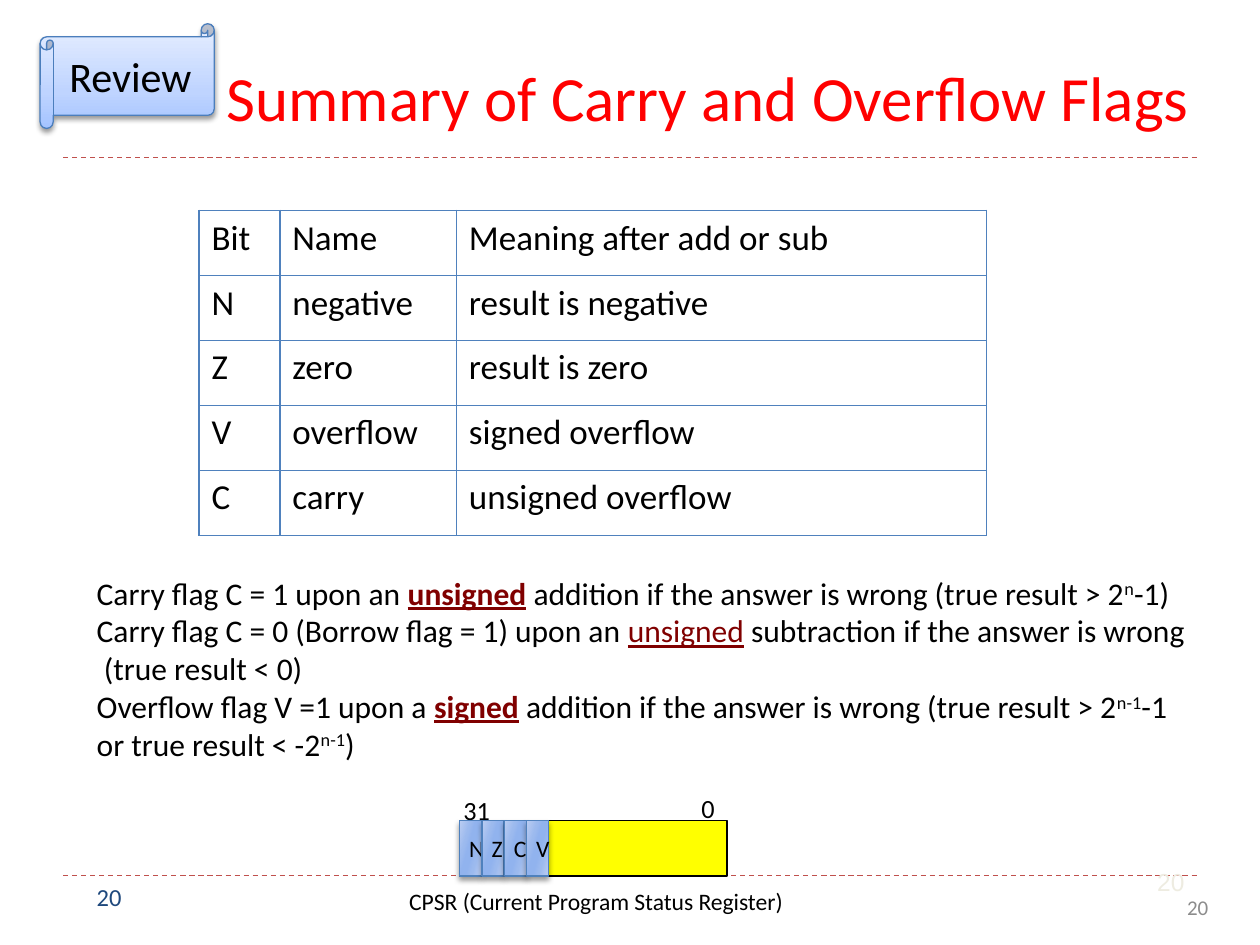
from lxml.etree import SubElement
from pptx import Presentation
from pptx.dml.color import RGBColor
from pptx.enum.dml import MSO_LINE
from pptx.enum.shapes import MSO_CONNECTOR, MSO_SHAPE
from pptx.enum.text import MSO_ANCHOR, MSO_AUTO_SIZE, PP_ALIGN
from pptx.oxml.ns import qn
from pptx.util import Cm, Pt

BLACK = RGBColor(0x00, 0x00, 0x00)
RED = RGBColor(0xFF, 0x00, 0x00)
MAROON = RGBColor(0x80, 0x00, 0x00)
YELLOW = RGBColor(0xFF, 0xFF, 0x00)
GRAY = RGBColor(0x8C, 0x8C, 0x8C)
NAVY = RGBColor(0x1F, 0x49, 0x7D)
CREAM = RGBColor(0xEE, 0xEC, 0xE1)
RULE_RED = RGBColor(0xC0, 0x50, 0x4D)
GRID_BLUE = RGBColor(0x4F, 0x81, 0xBD)
SCROLL_BLUE = RGBColor(0x4B, 0x7E, 0xBC)
ICE = RGBColor(0xBC, 0xCE, 0xF2)
SKY = RGBColor(0x9C, 0xBA, 0xEE)
AZURE = RGBColor(0x91, 0xB3, 0xEE)

FLAG_STOPS = [(0, ICE), (30, SKY), (45, AZURE), (55, AZURE), (73, SKY), (100, ICE)]
SCROLL_STOPS = [(0, RGBColor(0xA4, 0xC4, 0xFF)), (35, RGBColor(0xBF, 0xD4, 0xFF)),
                (100, RGBColor(0xE6, 0xEE, 0xFF))]


class SlideBuilder:
    def __init__(self, slide, font="Calibri"):
        self.slide = slide
        self.font = font

    def run(self, paragraph, wording, size, color=BLACK, font=None,
            bold=False, underline=False, raised=False):
        run = paragraph.add_run()
        run.text = wording
        run.font.name = font or self.font
        run.font.size = Pt(size)
        run.font.color.rgb = color
        if bold:
            run.font.bold = True
        if underline:
            run.font.underline = True
        if raised:
            run.font._element.set("baseline", "30000")

    def title(self, box, wording, size, color):
        title = self.slide.shapes.title
        title.left, title.top, title.width, title.height = map(Cm, box)
        title.text_frame.vertical_anchor = MSO_ANCHOR.BOTTOM
        heading = title.text_frame.paragraphs[0]
        heading.alignment = PP_ALIGN.CENTER
        self.run(heading, wording, size, color)

    def text(self, box, wording, size, color=BLACK, font=None,
             align=PP_ALIGN.LEFT, anchor=MSO_ANCHOR.TOP, wrap=True):
        frame = self.slide.shapes.add_textbox(*map(Cm, box)).text_frame
        frame.word_wrap = wrap
        frame.auto_size = MSO_AUTO_SIZE.NONE if wrap else MSO_AUTO_SIZE.SHAPE_TO_FIT_TEXT
        frame.vertical_anchor = anchor
        frame.paragraphs[0].alignment = align
        self.run(frame.paragraphs[0], wording, size, color, font)

    def statements(self, box, statements, size):
        frame = self.slide.shapes.add_textbox(*map(Cm, box)).text_frame
        frame.word_wrap = True
        for index, parts in enumerate(statements):
            paragraph = frame.add_paragraph() if index else frame.paragraphs[0]
            for wording, style in parts:
                if style is BREAK:
                    paragraph.add_line_break()
                self.run(paragraph, wording, size, **style)

    def rule(self, left, right, y):
        rule = self.slide.shapes.add_connector(
            MSO_CONNECTOR.STRAIGHT, Cm(left), Cm(y), Cm(right), Cm(y))
        rule.line.color.rgb = RULE_RED
        rule.line.width = Pt(0.75)
        rule.line.dash_style = MSO_LINE.DASH
        SubElement(rule._element.spPr, qn("a:effectLst"))

    def shape(self, kind, box, line_color, line_width, fill=None):
        shape = self.slide.shapes.add_shape(kind, *map(Cm, box))
        shape.shadow.inherit = False
        if fill is not None:
            shape.fill.solid()
            shape.fill.fore_color.rgb = fill
        shape.line.color.rgb = line_color
        shape.line.width = Pt(line_width)
        return shape

    def glossy(self, kind, box, wording, size, stops, angle, line_color):
        shape = self.shape(kind, box, line_color, 0.75)
        # Gradient with any number of stops
        shape.fill.gradient()
        shape.fill.gradient_angle = angle
        properties = shape._element.spPr
        stop_list = properties.find(qn("a:gradFill")).find(qn("a:gsLst"))
        stop_list.clear()
        for position, color in stops:
            stop = SubElement(stop_list, qn("a:gs"), pos=str(position * 1000))
            SubElement(stop, qn("a:srgbClr"), val=str(color))
        # Soft shadow straight down
        shadow = SubElement(properties.find(qn("a:effectLst")), qn("a:outerShdw"),
                            blurRad=str(Pt(3)), dist=str(Pt(2)), dir="5400000",
                            rotWithShape="0")
        shade = SubElement(shadow, qn("a:srgbClr"), val=str(BLACK))
        SubElement(shade, qn("a:alpha"), val="40000")
        # Label
        shape.text_frame.vertical_anchor = MSO_ANCHOR.MIDDLE
        label = shape.text_frame.paragraphs[0]
        label.alignment = PP_ALIGN.CENTER
        self.run(label, wording, size)

    def table(self, left, top, widths, row_height, rows, size):
        table = self.slide.shapes.add_table(
            len(rows), len(widths), Cm(left), Cm(top),
            Cm(sum(widths)), Cm(row_height * len(rows))).table
        table.first_row = table.horz_banding = False
        for column, width in zip(table.columns, widths):
            column.width = Cm(width)
        for row, wordings in zip(table.rows, rows):
            row.height = Cm(row_height)
            for cell, wording in zip(row.cells, wordings):
                self.borders(cell)
                cell.fill.background()
                paragraph = cell.text_frame.paragraphs[0]
                paragraph.alignment = PP_ALIGN.JUSTIFY
                self.run(paragraph, wording, size)

    def borders(self, cell):
        properties = cell._tc.get_or_add_tcPr()
        for side in ("lnL", "lnR", "lnT", "lnB"):
            border = SubElement(properties, qn(f"a:{side}"), w=str(Pt(1)))
            fill = SubElement(border, qn("a:solidFill"))
            SubElement(fill, qn("a:srgbClr"), val=str(GRID_BLUE))


PLAIN = {}
RAISED = {"raised": True}
LINKED = {"color": MAROON, "underline": True}
STRONG = {**LINKED, "bold": True}
BREAK = {"color": BLACK}  # starts on a new line

FLAG_TABLE = [
    ("Bit", "Name", "Meaning after add or sub"),
    ("N", "negative", "result is negative"),
    ("Z", "zero", "result is zero"),
    ("V", "overflow", "signed overflow"),
    ("C", "carry", "unsigned overflow"),
]
FLAG_RULES = [
    [("Carry flag C = 1 upon an ", PLAIN), ("unsigned", STRONG),
     (" addition if the answer is wrong (true result > 2", PLAIN),
     ("n", RAISED), ("-1)", PLAIN)],
    [("Carry flag C = 0 (Borrow flag = 1) upon an ", PLAIN), ("unsigned", LINKED),
     (" subtraction if the answer is wrong", PLAIN), (" (true result < 0)", BREAK)],
    [("Overflow flag V =1 upon a ", PLAIN), ("signed", STRONG),
     (" addition if the answer is wrong (true result > 2", PLAIN), ("n-1", RAISED),
     ("-1 or true result < -2", PLAIN), ("n-1", RAISED), (")", PLAIN)],
]


def main():
    deck = Presentation()
    deck.slide_width, deck.slide_height = Cm(25.4), Cm(19.05)
    page = SlideBuilder(deck.slides.add_slide(deck.slide_layouts[5]))

    # Frame rules and page numbers
    for y in (17.65, 3.18):
        page.rule(1.27, 24.13, y)
    page.text((16.71, 17.78, 7.9, 1.02), "20", 12, GRAY,
              align=PP_ALIGN.RIGHT, anchor=MSO_ANCHOR.MIDDLE)
    page.text((1.7, 17.65, 5.51, 1.02), "20", 14, NAVY)
    page.text((18.21, 17.35, 5.92, 1.32), "20", 14, CREAM, "Arial", PP_ALIGN.RIGHT)

    # Title, rules for the flags and table of flags
    page.title((2.84, 0.1, 22.86, 2.74), "Summary of Carry and Overflow Flags", 36, RED)
    page.statements((1.7, 11.44, 22.45, 4.1), FLAG_RULES, 18)
    page.table(4.01, 4.24, (1.63, 3.56, 10.69), 1.31, FLAG_TABLE, 20)

    # Status register with its four flag bits
    left, top, height = 9.27, 16.54, 1.12
    page.shape(MSO_SHAPE.RECTANGLE, (left, top, 5.38, height), BLACK, 1, YELLOW)
    page.text((9.09, 15.88, 1.07, 0.89), "31", 15, wrap=False)
    page.text((13.89, 15.85, 0.79, 0.89), "0", 15, wrap=False)
    for index, flag in enumerate("NZCV"):
        page.glossy(MSO_SHAPE.RECTANGLE, (left + 0.45 * index, top, 0.44, height),
                    flag, 13.5, FLAG_STOPS, 344, GRID_BLUE)
    page.text((8, 17.75, 8.18, 0.84), "CPSR (Current Program Status Register)",
              13.5, wrap=False)

    # Review scroll
    page.glossy(MSO_SHAPE.HORIZONTAL_SCROLL, (0.81, 0.48, 3.51, 2.11),
                "Review", 24, SCROLL_STOPS, 90, SCROLL_BLUE)

    deck.save("out.pptx")


if __name__ == "__main__":
    main()
